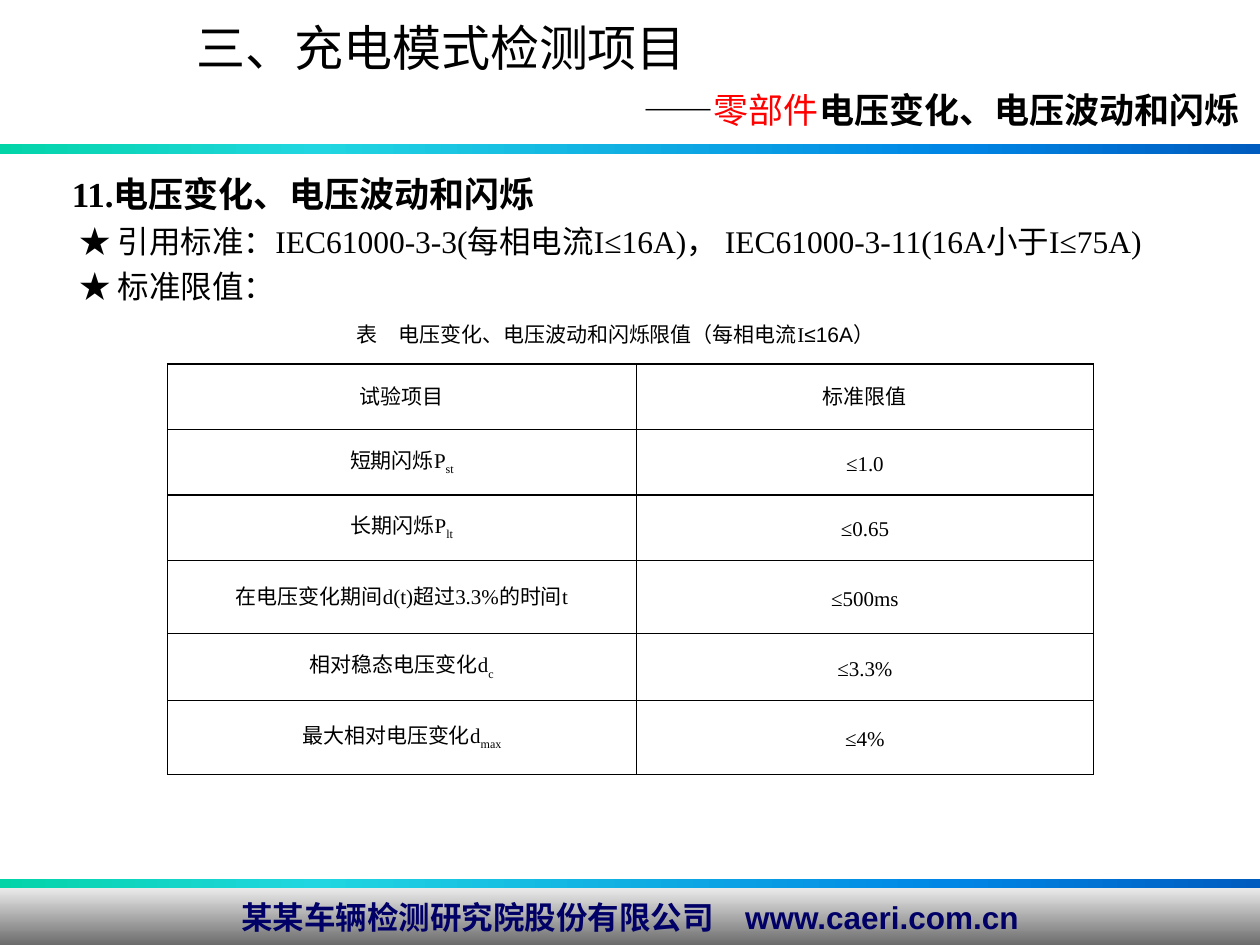
from lxml import etree
from pptx import Presentation
from pptx.dml.color import RGBColor
from pptx.enum.shapes import MSO_SHAPE
from pptx.enum.text import MSO_ANCHOR, MSO_AUTO_SIZE, PP_ALIGN
from pptx.oxml.ns import qn
from pptx.util import Inches, Pt

RECTANGLE = MSO_SHAPE.RECTANGLE
TOP, MIDDLE = MSO_ANCHOR.TOP, MSO_ANCHOR.MIDDLE
CENTER, RIGHT = PP_ALIGN.CENTER, PP_ALIGN.RIGHT
NO_AUTOFIT = MSO_AUTO_SIZE.NONE
SERIF, SANS, TITLE_FONT = "Times New Roman", "Arial", "Calibri"
BLACK, RED, NAVY = "000000", "FF0000", "000066"
RAINBOW = [(0, "03D4A8"), (25, "21D6E0"), (75, "0087E6"), (100, "005CBF")]
SILVER = [(0, "EAEAEA"), (100, "6C6C6C")]


def set_font(font, size, name, color=BLACK, bold=False):
    font.size, font.name, font.bold = Pt(size), name, bold
    font.color.rgb = RGBColor.from_string(color)


def place(shape, left, top, width, height):
    shape.left, shape.top = Inches(left), Inches(top)
    shape.width, shape.height = Inches(width), Inches(height)


presentation = Presentation()
presentation.slide_width, presentation.slide_height = Inches(10), Inches(7.5)
slide = presentation.slides.add_slide(presentation.slide_layouts[1])

# Bands: under the title, above the footer, and the footer itself
for top, height, stops, angle in [
    (1.14, 0.08, RAINBOW, 0),
    (6.98, 0.08, RAINBOW, 0),
    (7.05, 0.45, SILVER, 270),
]:
    band = slide.shapes.add_shape(
        RECTANGLE, 0, Inches(top), presentation.slide_width, Inches(height)
    )
    band.shadow.inherit = False
    band.line.fill.background()
    band.fill.gradient()
    band.fill.gradient_angle = angle
    stop_list = band._element.spPr.find(".//" + qn("a:gsLst"))
    for old_stop in list(stop_list):
        stop_list.remove(old_stop)
    for position, color in stops:
        stop = etree.SubElement(stop_list, qn("a:gs"), pos=str(position * 1000))
        etree.SubElement(stop, qn("a:srgbClr"), val=color)

# The last band carries the footer text
band.text_frame.vertical_anchor = MIDDLE
paragraph = band.text_frame.paragraphs[0]
paragraph.text = "某某车辆检测研究院股份有限公司　www.caeri.com.cn"
paragraph.alignment = CENTER
set_font(paragraph.font, 18, SANS, NAVY, True)

# Title with a right-aligned subtitle line
title = slide.shapes.title
place(title, 1.46, 0.08, 8.54, 1.02)
frame = title.text_frame
frame.auto_size = NO_AUTOFIT
frame.vertical_anchor = MIDDLE
frame.margin_right = Inches(0.16)
heading = frame.paragraphs[0]
heading.text = "三、充电模式检测项目"
heading.alignment = PP_ALIGN.LEFT
set_font(heading.font, 28, TITLE_FONT)
subtitle = frame.add_paragraph()
subtitle.alignment = RIGHT
subtitle.space_before = Pt(7)
for text, name, color, bold in [
    ("——", TITLE_FONT, BLACK, False),
    ("零部件", TITLE_FONT, RED, False),
    ("电压变化、电压波动和闪烁", SERIF, BLACK, True),
]:
    run = subtitle.add_run()
    run.text = text
    set_font(run.font, 20, name, color, bold)

# Body list
body = slide.placeholders[1]
place(body, 0.47, 1.25, 8.91, 1.6)
frame = body.text_frame
frame.auto_size = NO_AUTOFIT
frame.vertical_anchor = TOP
for index, (text, size, bold, indent) in enumerate([
    ("11.电压变化、电压波动和闪烁", 20, True, 0),
    ("★ 引用标准：IEC61000-3-3(每相电流I≤16A)， IEC61000-3-11(16A小于I≤75A)",
     18, False, 0.06),
    ("★ 标准限值：", 18, False, 0.06),
]):
    paragraph = frame.add_paragraph() if index else frame.paragraphs[0]
    paragraph.text = text
    paragraph.line_spacing = 1.2
    paragraph.space_before = Pt(0)
    properties = paragraph._p.get_or_add_pPr()
    properties.set("marL", "0")
    properties.set("indent", str(Inches(indent)))
    etree.SubElement(properties, qn("a:buNone"))
    set_font(paragraph.font, size, SERIF, bold=bold)

# Table caption
caption = slide.shapes.add_textbox(
    Inches(2.73), Inches(2.5), Inches(4.53), Inches(0.3)
)
caption.text_frame.word_wrap = True
paragraph = caption.text_frame.paragraphs[0]
for text, name in [
    ("表　电压变化、电压波动和闪烁限值（每相电流", SANS),
    ("I", SERIF),
    ("≤16A）", SANS),
]:
    run = paragraph.add_run()
    run.text = text
    set_font(run.font, 12, name)

# Limits table: item, subscript, limit
limits = [
    ("试验项目", "", "标准限值"),
    ("短期闪烁P", "st", "≤1.0"),
    ("长期闪烁P", "lt", "≤0.65"),
    ("在电压变化期间d(t)超过3.3%的时间t", "", "≤500ms"),
    ("相对稳态电压变化d", "c", "≤3.3%"),
    ("最大相对电压变化d", "max", "≤4%"),
]
column_widths = [3.72, 3.63]
row_heights = [0.52, 0.52, 0.52, 0.58, 0.53, 0.59]
table = slide.shapes.add_table(
    len(limits), 2, Inches(1.33), Inches(2.89),
    Inches(sum(column_widths)), Inches(sum(row_heights)),
).table
table.first_row = table.horz_banding = False
for column, width in zip(table.columns, column_widths):
    column.width = Inches(width)
for row, height, (item, subscript, limit) in zip(table.rows, row_heights, limits):
    row.height = Inches(height)
    for cell, text, suffix in zip(row.cells, (item, limit), (subscript, "")):
        cell.vertical_anchor = MIDDLE
        cell.margin_left = cell.margin_right = Inches(0.07)
        cell.margin_top = cell.margin_bottom = 0
        paragraph = cell.text_frame.paragraphs[0]
        paragraph.text = text
        paragraph.alignment = CENTER
        paragraph.line_spacing = Pt(15.6)
        set_font(paragraph.font, 12, SERIF)
        if suffix:
            run = paragraph.add_run()
            run.text = suffix
            run._r.get_or_add_rPr().set("baseline", "-25000")
        cell_properties = cell._tc.get_or_add_tcPr()
        for side in ("a:lnL", "a:lnR", "a:lnT", "a:lnB"):
            border = etree.SubElement(cell_properties, qn(side), w=str(Pt(1)))
            border_fill = etree.SubElement(border, qn("a:solidFill"))
            etree.SubElement(border_fill, qn("a:srgbClr"), val=BLACK)
        cell.fill.background()

presentation.save("out.pptx")
